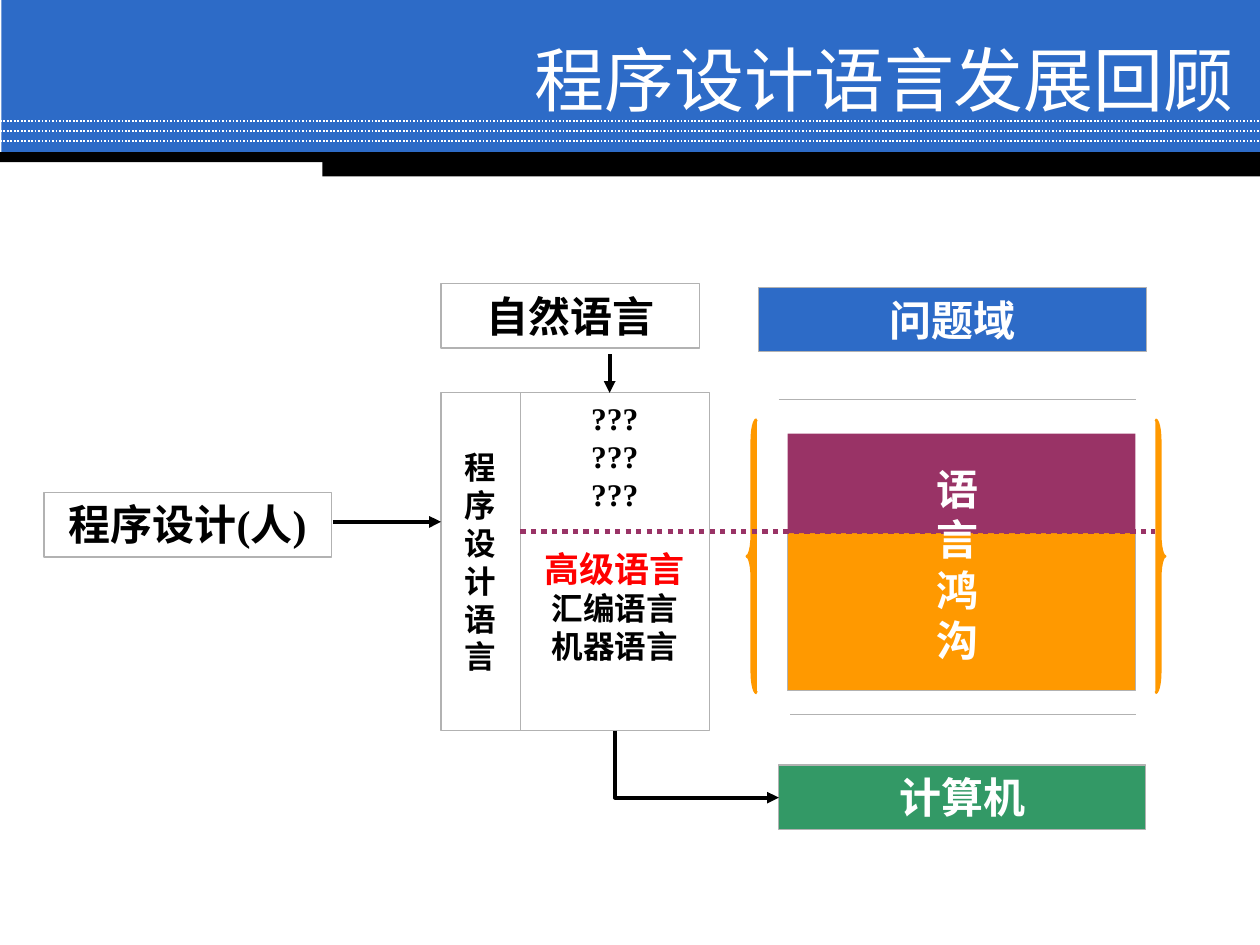
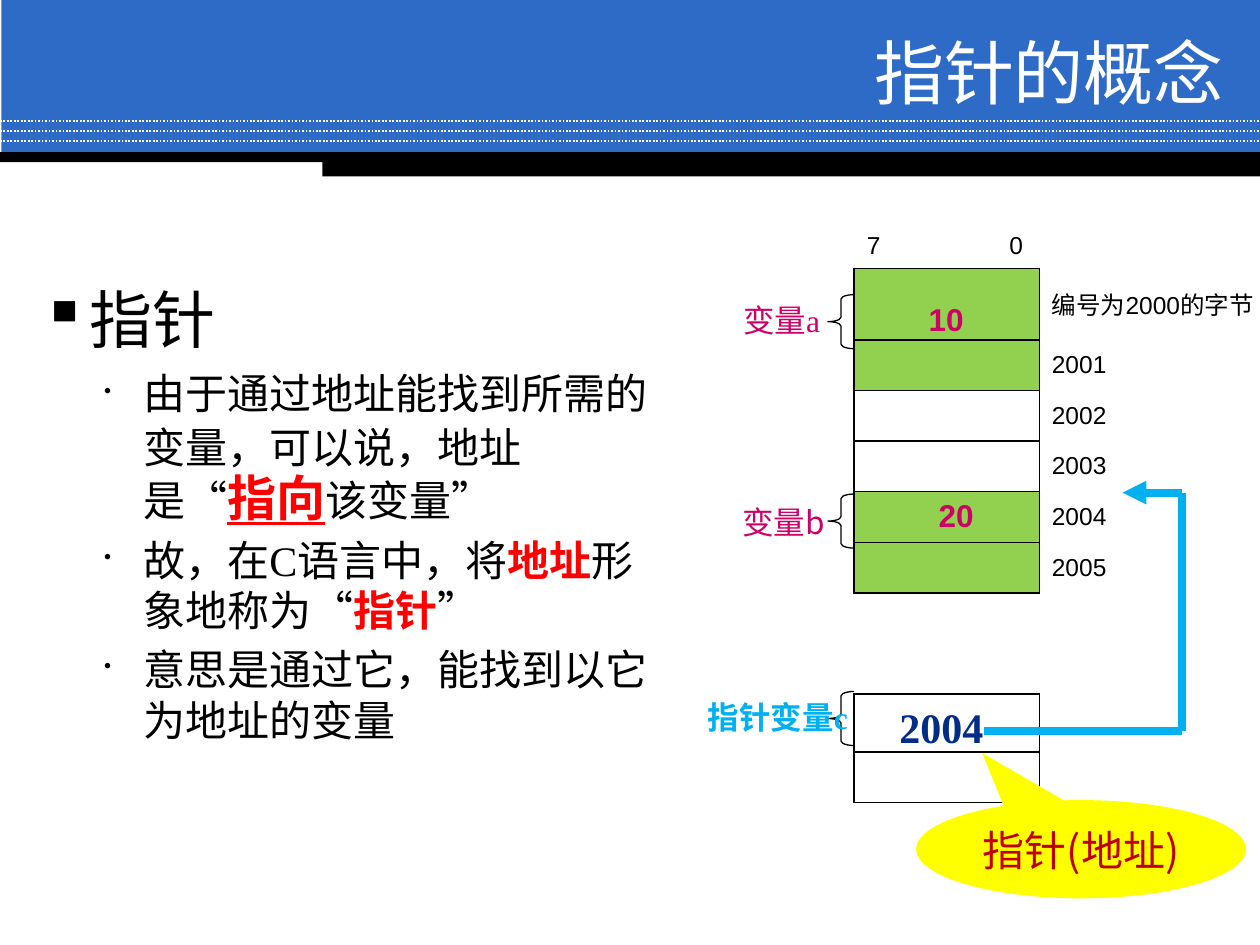
from dataclasses import dataclass
from pptx import Presentation
from pptx import util as u
from pptx.dml import color as col
from pptx.enum import dml, shapes, text
from pptx.oxml import ns
from lxml import etree


@dataclass(frozen=True)
class Theme:
    blue: str = "2D6BC7"
    white: str = "FFFFFF"
    black: str = "000000"
    gray: str = "B2B2B2"
    orange: str = "FF9900"
    plum: str = "993366"
    green: str = "339966"
    lime: str = "92D050"
    red: str = "FF0000"
    pink: str = "CC0066"
    sky: str = "00B0F0"
    navy: str = "012D86"
    yellow: str = "FFFF00"
    brick: str = "C00000"
    serif: str = "Times New Roman"
    sans: str = "Arial"
    hei: str = "Noto Sans CJK SC"
    title: int = 40
    head: int = 36
    large: int = 28
    main: int = 24
    mid: int = 20
    small: int = 18
    cell: int = 14


T = Theme()
KIND = shapes.MSO_SHAPE
MID = text.MSO_ANCHOR.MIDDLE
TOP = text.MSO_ANCHOR.TOP
LEFT = text.PP_ALIGN.LEFT
RIGHT = text.PP_ALIGN.RIGHT
CENTER = text.PP_ALIGN.CENTER


def rgb(code):
    return col.RGBColor.from_string(code)


def node(parent, tag, **attrs):
    return etree.SubElement(parent, ns.qn("a:" + tag), attrs)


class Deck:
    def __init__(self, theme):
        self.theme = theme
        self.file = Presentation()
        self.file.slide_width, self.file.slide_height = u.Cm(25.4), u.Cm(19.05)
        self.page = None

    def start(self, title, x, y):
        t = self.theme
        self.page = self.file.slides.add_slide(self.file.slide_layouts[6]).shapes
        self.shape(KIND.RECTANGLE, 0.03, 0, 25.37, 3.12, fill=t.blue)
        for row in range(3):
            level = 2.44 + 0.2 * row
            self.line(0, level, 25.4, level, t.white, 1, dots=True)
        self.shape(KIND.RECTANGLE, 0, 3.07, 25.4, 0.2, fill=t.black)
        self.shape(KIND.RECTANGLE, 6.5, 3.15, 18.9, 0.41, fill=t.black)
        self.label(title, x, y, 17.58, 1.47, t.white, t.title, t.hei, False, RIGHT, MID)

    def style(self, font, color=None, size=None, name=None, bold=None, under=None):
        if color:
            font.color.rgb = rgb(color)
        if size:
            font.size = u.Pt(size)
        if name:
            font.name = name
        if bold is not None:
            font.bold = bold
        if under is not None:
            font.underline = under

    def put(self, para, words, color, size, name=None, bold=False, align=LEFT, pitch=None):
        para.alignment = align
        para.line_spacing = u.Pt(pitch or round(size * 1.2, 1))
        self.style(para.font, color, size, name or self.theme.serif, bold)
        for part in [words] if isinstance(words, str) else words:
            run = para.add_run()
            if isinstance(part, str):
                run.text = part
            else:
                run.text, look = part
                self.style(run.font, **look)

    def frame(self, shape, anchor=TOP):
        frame = shape.text_frame
        frame.word_wrap = True
        frame.vertical_anchor = anchor
        return frame

    def shape(self, kind, x, y, w, h, fill=None, line=None, width=0.75, adjust=()):
        shape = self.page.add_shape(kind, u.Cm(x), u.Cm(y), u.Cm(w), u.Cm(h))
        shape.shadow.inherit = False
        for spot, value in enumerate(adjust):
            shape.adjustments[spot] = value
        if fill:
            shape.fill.solid()
            shape.fill.fore_color.rgb = rgb(fill)
        else:
            shape.fill.background()
        if line:
            shape.line.color.rgb = rgb(line)
            shape.line.width = u.Pt(width)
        else:
            shape.line.fill.background()
        return shape

    def box(self, words, x, y, w, h, fill=None, color=T.black, size=T.main, anchor=MID):
        shape = self.shape(KIND.RECTANGLE, x, y, w, h, fill, self.theme.gray)
        para = self.frame(shape, anchor).paragraphs[0]
        self.put(para, words, color, size, bold=True, align=CENTER)

    def label(self, words, x, y, w, h, color, size, name, bold=False, align=LEFT, anchor=TOP):
        area = self.page.add_textbox(u.Cm(x), u.Cm(y), u.Cm(w), u.Cm(h))
        para = self.frame(area, anchor).paragraphs[0]
        self.put(para, words, color, size, name, bold, align)

    def line(self, x, y, x2, y2, color, width, dots=False, arrow=False, kind=shapes.MSO_CONNECTOR.STRAIGHT):
        link = self.page.add_connector(kind, u.Cm(x), u.Cm(y), u.Cm(x2), u.Cm(y2))
        link.line.color.rgb = rgb(color)
        link.line.width = u.Pt(width)
        if dots:
            link.line.dash_style = dml.MSO_LINE.ROUND_DOT
        props = link._element.spPr
        if arrow:
            node(props.find(ns.qn("a:ln")), "tailEnd", type="triangle")
        node(props, "effectLst")
        return link

    def bend(self, x, y, x2, y2, color, width):
        midx, midy = (x + x2) / 2, (y + y2) / 2
        halfw, halfh = (y2 - y) / 2, (x2 - x) / 2
        link = self.line(midx + halfw, midy - halfh, midx - halfw, midy + halfh, color, width,
                         arrow=True, kind=shapes.MSO_CONNECTOR.ELBOW)
        props = link._element.spPr
        props.find(ns.qn("a:xfrm")).set("rot", "16200000")
        props.find(ns.qn("a:prstGeom")).set("prst", "bentConnector2")

    def bullet(self, para, mark, left, hang, scale):
        props = para._p.get_or_add_pPr()
        props.set("marL", str(u.Cm(left)))
        props.set("indent", str(-u.Cm(hang)))
        node(props, "buSzPct", val=str(scale * 1000))
        node(props, "buChar", char=mark)

    def cell(self, cell, words="", fill=None, edges="", tab=None):
        cell.vertical_anchor = MID
        props = cell._tc.get_or_add_tcPr()
        for side in "LRTB":
            if side in edges:
                edge = node(props, "ln" + side, w=str(u.Pt(1)))
                node(node(edge, "solidFill"), "srgbClr", val=self.theme.black)
        if fill:
            cell.fill.solid()
            cell.fill.fore_color.rgb = rgb(fill)
        else:
            cell.fill.background()
        para = cell.text_frame.paragraphs[0]
        if tab:
            stops = node(para._p.get_or_add_pPr(), "tabLst")
            node(stops, "tab", pos=str(u.Cm(tab)), algn="r")
        self.style(para.font, self.theme.black, self.theme.cell, self.theme.sans)
        if words:
            para.add_run().text = words

    def table(self, x, y, widths, heights, rows):
        area = self.page.add_table(len(rows), len(widths), u.Cm(x), u.Cm(y),
                                   u.Cm(sum(widths)), u.Cm(sum(heights)))
        grid = area.table
        grid.first_row = grid.horz_banding = False
        look = grid._tbl.tblPr.find(ns.qn("a:tableStyleId"))
        look.text = "{2D5ABB26-0587-4C30-8999-92F81FD0307C}"
        for column, width in zip(grid.columns, widths):
            column.width = u.Cm(width)
        for row, height, cells in zip(grid.rows, heights, rows):
            row.height = u.Cm(height)
            for cell, look in zip(row.cells, cells):
                self.cell(cell, **look)


def review(deck):
    deck.start("程序设计语言发展回顾", 7.54, 0.84)
    deck.box("自然语言", 8.89, 5.72, 5.21, 1.3)
    deck.box("问题域", 15.29, 5.79, 7.82, 1.3, T.blue, T.white)
    deck.line(15.7, 8.05, 22.91, 8.05, T.gray, 0.75)
    deck.line(15.93, 14.4, 22.91, 14.4, T.gray, 0.75)
    deck.shape(KIND.LEFT_BRACE, 15.06, 8.46, 0.2, 5.51, T.orange, T.orange, 1.75, (2.17, 0.5))
    deck.shape(KIND.RECTANGLE, 15.88, 10.72, 7.01, 3.2, T.orange, T.gray)
    deck.box("计算机", 15.7, 15.42, 7.39, 1.3, T.green, T.white)
    deck.shape(KIND.RIGHT_BRACE, 23.29, 8.46, 0.2, 5.51, T.orange, T.orange, 1.5, (2.17, 0.5))
    deck.box("程序设计(人)", 0.89, 9.93, 5.79, 1.3, anchor=TOP)
    deck.box("程序设计语言", 8.89, 7.92, 1.6, 6.81, size=T.small)

    levels = deck.shape(KIND.RECTANGLE, 10.49, 7.92, 3.81, 6.81, line=T.gray)
    frame = deck.frame(levels)
    for spot, words in enumerate(["???"] * 3 + ["高级语言", "汇编语言", "机器语言"]):
        para = frame.add_paragraph() if spot else frame.paragraphs[0]
        high = words == "高级语言"
        if high:
            para.space_before = u.Pt(20)
        deck.put(para, words, T.red if high else T.black, T.mid if high else T.small,
                 bold=True, align=CENTER)

    deck.line(10.49, 10.72, 23.29, 10.72, T.plum, 3, dots=True)
    deck.shape(KIND.RECTANGLE, 15.88, 8.74, 7.01, 2.01, T.plum)
    deck.label("语言鸿沟", 18.29, 9.37, 2.01, 4.01, T.white, T.main, T.serif, True, CENTER, MID)
    deck.line(12.29, 7.14, 12.29, 7.92, T.black, 2.25, arrow=True)
    deck.line(6.71, 10.52, 8.89, 10.52, T.black, 2.25, arrow=True)
    deck.bend(12.4, 14.73, 15.7, 16.08, T.black, 2.25)


def pointer(deck):
    deck.start("指针的概念", 7.34, 0.71)
    key = dict(color=T.red, bold=True)
    points = [
        ["由于通过地址能找到所需的变量，可以说，地址是“",
         ("指向", dict(key, size=T.large, under=True)), "该变量”"],
        ["故，在C语言中，将", ("地址", key), "形象地称为“", ("指针", key), "”"],
        "意思是通过它，能找到以它为地址的变量",
    ]
    body = deck.page.add_textbox(u.Cm(0.58), u.Cm(5.36), u.Cm(12.78), u.Cm(10.36))
    frame = deck.frame(body)
    first = frame.paragraphs[0]
    deck.bullet(first, "▪", 0.97, 0.97, 100)
    deck.put(first, "指针", T.black, T.head, pitch=48)
    for spot, words in enumerate(points):
        para = frame.add_paragraph()
        para.level = 1
        deck.bullet(para, "•", 2.06, 0.79, 50)
        para.space_before = u.Pt(4.8)
        deck.put(para, words, T.black, T.main, pitch=28.8 if spot else 30.8)

    blank = {}
    rows = [[dict(words="7\t0", edges="B", tab=3.15), blank]]
    notes = ["编号为2000的字节"] + [str(2000 + step) for step in range(1, 6)]
    for spot, note in enumerate(notes):
        fill = None if spot in (2, 3) else T.lime
        edges = "LRT" if note == "2005" else "LRTB"
        rows.append([dict(fill=fill, edges=edges), dict(words=note)])
    rows += [[blank, blank], [dict(edges="B"), blank],
             [dict(edges="LRT"), dict(words=".........")], [dict(edges="LRB"), blank]]
    deck.table(17.22, 4.52, [3.73, 4.8], [0.89] + [1.02] * 8 + [1.17, 1.02], rows)

    deck.label("10", 18.47, 5.92, 1.57, 1.02, T.pink, T.small, T.sans, True)
    deck.label("20", 18.67, 9.88, 1.57, 1.02, T.pink, T.small, T.sans, True)
    for y in (5.94, 9.96, 13.94):
        deck.shape(KIND.LEFT_BRACE, 16.69, y, 0.53, 1.09, line=T.black, adjust=(0.17, 0.5))
    deck.label("变量b", 14.71, 10.01, 2.59, 1.02, T.pink, T.small, T.hei)
    deck.label("变量a", 14.73, 5.94, 2.59, 1.02, T.pink, T.small, T.serif)
    deck.label("2004", 17.88, 14.02, 2.41, 1.27, T.navy, T.main, T.serif, True)
    deck.label("指针变量c", 14.02, 13.94, 3.4, 1.02, T.sky, T.small, T.serif, True)

    deck.line(23.83, 9.93, 22.63, 9.93, T.sky, 4.5, arrow=True)
    deck.line(23.83, 9.93, 23.83, 14.73, T.sky, 4.5)
    deck.line(19.84, 14.73, 23.83, 14.73, T.sky, 4.5)
    call = deck.shape(KIND.OVAL_CALLOUT, 18.47, 16.13, 6.65, 1.98, T.yellow, adjust=(-0.3, -0.98))
    para = deck.frame(call, MID).paragraphs[0]
    deck.put(para, "指针(地址)", T.brick, T.main, T.hei, align=CENTER)


def main():
    deck = Deck(T)
    review(deck)
    pointer(deck)
    deck.file.save("out.pptx")


if __name__ == "__main__":
    main()
